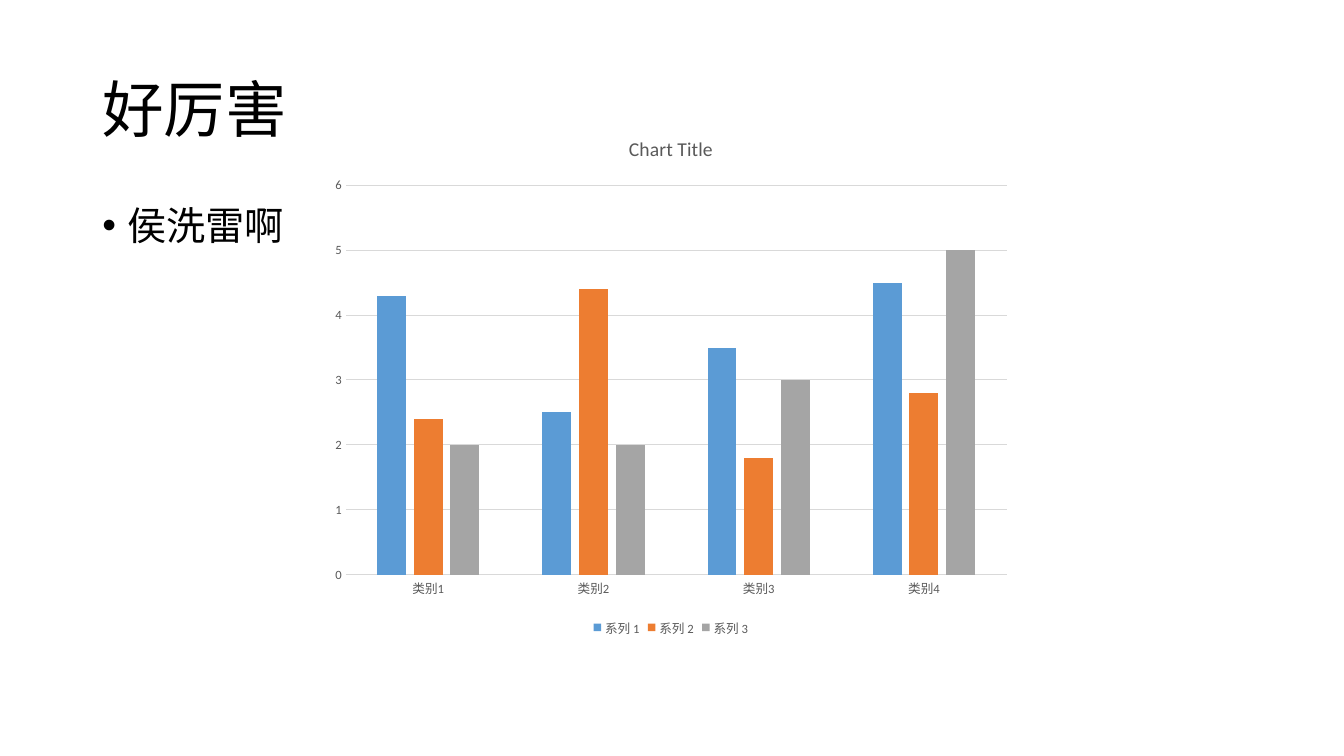
from lxml.etree import SubElement
from pptx import Presentation
from pptx.chart.data import CategoryChartData as ChartData
from pptx.dml.color import RGBColor
from pptx.enum.chart import XL_CHART_TYPE as ChartType
from pptx.enum.chart import XL_LEGEND_POSITION as LegendPosition
from pptx.enum.chart import XL_TICK_MARK as TickMark
from pptx.enum.text import MSO_ANCHOR as Anchor
from pptx.oxml.ns import qn
from pptx.util import Pt

PX = 9525
FONT = "Calibri"
BLACK, GREY, RULE = "000000", "595959", "D9D9D9"


def color(value):
    return RGBColor.from_string(value)


def apply(target, values):
    for name, value in values.items():
        setattr(target, name, value)


class SlideBuilder:
    def __init__(self, deck):
        self.page = deck.slides.add_slide(deck.slide_layouts[6])

    def style_font(self, font, size, fill):
        apply(font, {"name": FONT, "size": Pt(size), "bold": False})
        font.color.rgb = color(fill)

    def style_line(self, line):
        line.color.rgb = color(RULE)
        line.width = Pt(0.75)

    def text(self, place, content, size, anchor, before=0, bullet_indent=0):
        box = self.page.shapes.add_textbox(*(length * PX for length in place))
        apply(box.text_frame, {"word_wrap": True, "vertical_anchor": anchor})
        para = box.text_frame.paragraphs[0]
        apply(para, {"line_spacing": 0.9, "space_before": Pt(before)})
        span = para.add_run()
        span.text = content
        self.style_font(span.font, size, BLACK)
        if bullet_indent:
            props = para._p.get_or_add_pPr()
            props.set("marL", str(bullet_indent * PX))
            props.set("indent", str(-bullet_indent * PX))
            SubElement(props, qn("a:buFont"), typeface="Arial")
            SubElement(props, qn("a:buChar"), char="•")

    def column_chart(self, place, title, categories, series):
        data = ChartData()
        data.categories = categories
        for name, _, values in series:
            data.add_series(name, values)
        lengths = (length * PX for length in place)
        chart = self.page.shapes.add_chart(
            ChartType.COLUMN_CLUSTERED, *lengths, data).chart
        self.style_font(chart.font, 10, BLACK)

        chart.has_title = True
        frame = chart.chart_title.text_frame
        frame.text = title
        self.style_font(frame.paragraphs[0].runs[0].font, 14, GREY)
        chart.chart_title.include_in_layout = False

        chart.has_legend = True
        apply(chart.legend, {"position": LegendPosition.BOTTOM, "include_in_layout": False})
        self.style_font(chart.legend.font, 9, GREY)

        for axis in (chart.category_axis, chart.value_axis):
            apply(axis, {"major_tick_mark": TickMark.NONE, "minor_tick_mark": TickMark.NONE})
            self.style_font(axis.tick_labels.font, 9, GREY)
        self.style_line(chart.category_axis.format.line)
        apply(chart.value_axis, {"minimum_scale": 0, "maximum_scale": 6, "major_unit": 1})
        chart.value_axis.format.line.fill.background()
        self.style_line(chart.value_axis.major_gridlines.format.line)

        plot = chart.plots[0]
        apply(plot, {"gap_width": 219, "overlap": -27, "vary_by_categories": False})
        for columns, (_, fill, _) in zip(plot.series, series):
            columns.format.fill.solid()
            columns.format.fill.fore_color.rgb = color(fill)


def main():
    deck = Presentation()
    apply(deck, {"slide_width": 1280 * PX, "slide_height": 720 * PX})
    slide = SlideBuilder(deck)
    slide.text((88, 38, 1104, 139), "好厉害", 44, Anchor.MIDDLE)
    slide.text((88, 192, 1104, 457), "侯洗雷啊", 28, Anchor.TOP, before=10, bullet_indent=24)
    slide.column_chart(
        (306, 110, 666, 500),
        "Chart Title",
        [f"类别{number}" for number in range(1, 5)],
        [
            ("系列 1", "5B9BD5", (4.3, 2.5, 3.5, 4.5)),
            ("系列 2", "ED7D31", (2.4, 4.4, 1.8, 2.8)),
            ("系列 3", "A5A5A5", (2, 2, 3, 5)),
        ],
    )
    deck.save("out.pptx")


if __name__ == "__main__":
    main()
